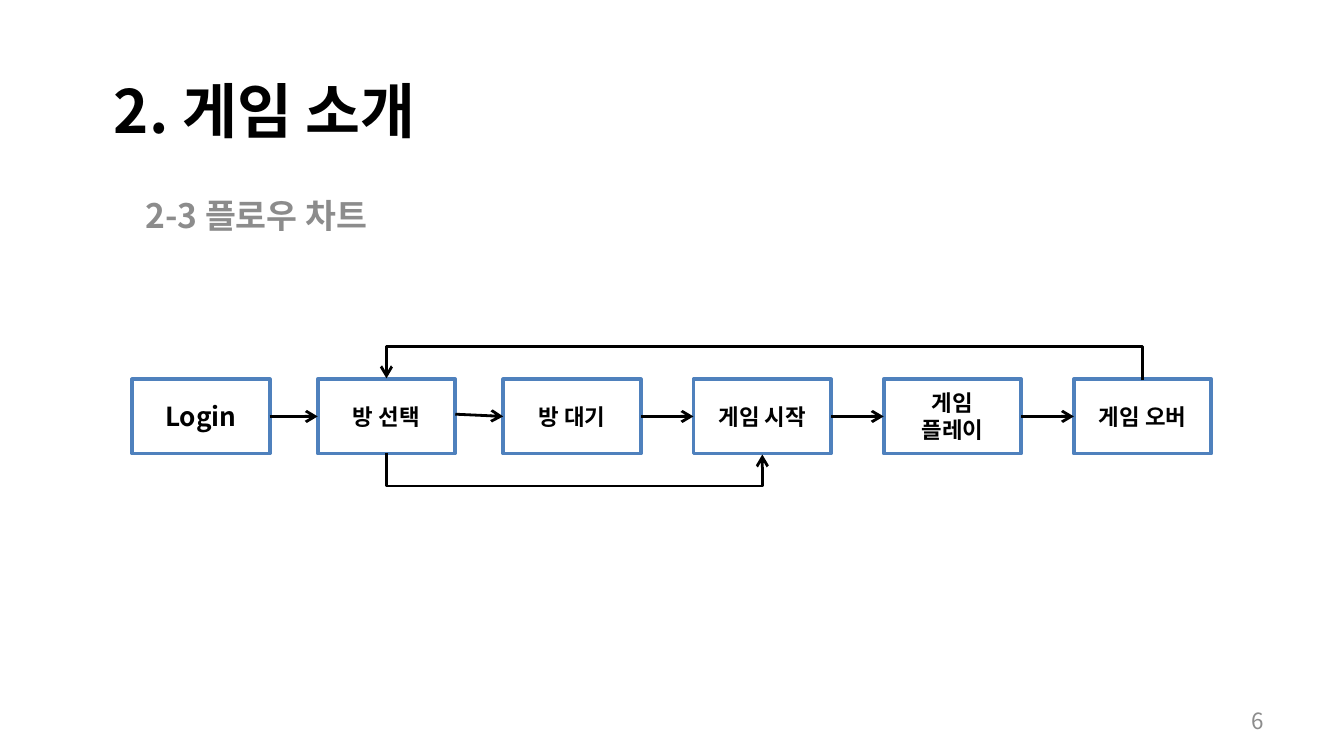
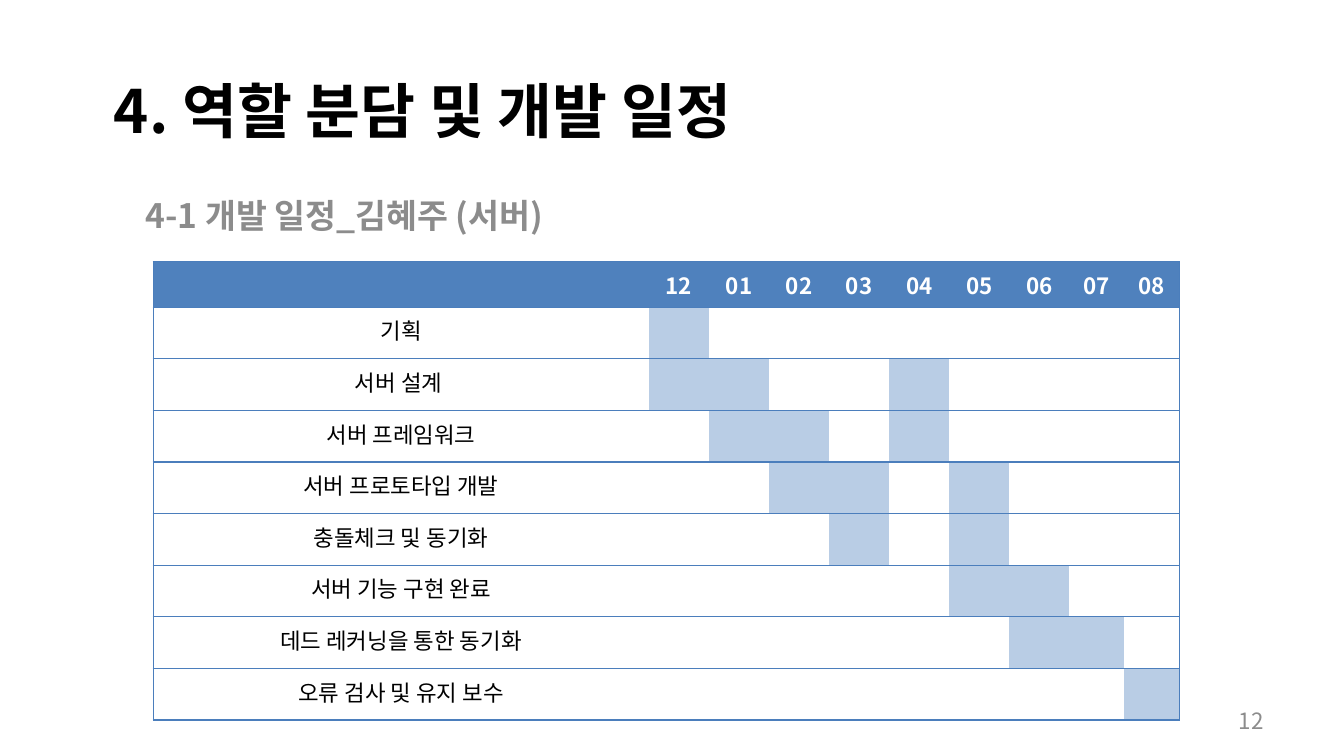
import pptx
import pptx.dml.color
import pptx.enum.shapes
import pptx.enum.text
import pptx.oxml.ns
import pptx.presentation
import pptx.shapes.connector
import pptx.slide
import pptx.table
import pptx.text.text
import pptx.util
from dataclasses import dataclass
from lxml import etree

Pt = pptx.util.Pt
qn = pptx.oxml.ns.qn
ALIGN = pptx.enum.text.PP_ALIGN
ANCHOR = pptx.enum.text.MSO_ANCHOR
CONNECTOR = pptx.enum.shapes.MSO_CONNECTOR

# Shared look
FONT = "Noto Sans CJK KR"
BLACK, WHITE, GREY = "000000", "FFFFFF", "8C8C8C"
BLUE, PALE_BLUE, BORDER_BLUE = "4F81BD", "B9CDE5", "4B7EBC"


@dataclass(frozen=True)
class Box:
    left: float
    top: float
    width: float
    height: float

    def lengths(self) -> list[int]:
        return [Pt(value) for value in (self.left, self.top, self.width, self.height)]


@dataclass(frozen=True)
class TextStyle:
    size: float
    color: str = BLACK
    bold: bool = False
    align: ALIGN = ALIGN.LEFT
    anchor: ANCHOR = ANCHOR.MIDDLE


@dataclass(frozen=True)
class Step:
    text: str
    size: float = 12


@dataclass(frozen=True)
class Task:
    name: str
    months: tuple[str, ...]


TITLE = TextStyle(32, bold=True)
SUBTITLE = TextStyle(18, GREY, True, anchor=ANCHOR.TOP)
PAGE_NUMBER = TextStyle(12, GREY, align=ALIGN.RIGHT)
TABLE_HEAD = TextStyle(12, WHITE, True, ALIGN.CENTER, ANCHOR.TOP)
TABLE_BODY = TextStyle(12, BLACK, False, ALIGN.CENTER, ANCHOR.TOP)


def color(value: str) -> pptx.dml.color.RGBColor:
    return pptx.dml.color.RGBColor.from_string(value)


def apply(target: object, values: dict) -> None:
    for name, value in values.items():
        setattr(target, name, value)


def write(frame: pptx.text.text.TextFrame, text: str, style: TextStyle) -> None:
    """Write one paragraph per line of text."""
    for index, line in enumerate(text.split("\n")):
        paragraph = frame.add_paragraph() if index else frame.paragraphs[0]
        paragraph.alignment = style.align
        run = paragraph.add_run()
        run.text = line
        apply(run.font, {"name": FONT, "size": Pt(style.size), "bold": style.bold})
        run.font.color.rgb = color(style.color)
        east_asian = etree.SubElement(run.font._element, qn("a:ea"))
        east_asian.set("typeface", FONT)


def add_text(slide: pptx.slide.Slide, box: Box, text: str, style: TextStyle) -> None:
    frame = slide.shapes.add_textbox(*box.lengths()).text_frame
    apply(frame, {"word_wrap": True, "vertical_anchor": style.anchor})
    write(frame, text, style)


def add_page(presentation: pptx.presentation.Presentation, title: str,
             subtitle: str, subtitle_width: float, number: int) -> pptx.slide.Slide:
    slide = presentation.slides.add_slide(presentation.slide_layouts[6])
    add_text(slide, Box(54, 15, 612, 87), title, TITLE)
    add_text(slide, Box(70.8, 100.8, subtitle_width, 28), subtitle, SUBTITLE)
    add_text(slide, Box(516, 375.2, 168, 21.6), str(number), PAGE_NUMBER)
    return slide


# Flow chart parts
def add_step(slide: pptx.slide.Slide, box: Box, step: Step) -> None:
    shape = slide.shapes.add_shape(
        pptx.enum.shapes.MSO_SHAPE.RECTANGLE, *box.lengths())
    shape.shadow.inherit = False
    shape.fill.solid()
    shape.fill.fore_color.rgb = color(WHITE)
    shape.line.color.rgb = color(BLUE)
    shape.line.width = Pt(2)
    apply(shape.text_frame, {"word_wrap": True, "vertical_anchor": ANCHOR.MIDDLE})
    write(shape.text_frame, step.text,
          TextStyle(step.size, bold=True, align=ALIGN.CENTER))


def add_arrow(slide: pptx.slide.Slide, kind: CONNECTOR, start: tuple[float, float],
              end: tuple[float, float]) -> pptx.shapes.connector.Connector:
    connector = slide.shapes.add_connector(
        kind, *[Pt(value) for value in (*start, *end)])
    connector.line.color.rgb = color(BLACK)
    connector.line.width = Pt(1.5)
    line = connector.line._get_or_add_ln()
    etree.SubElement(line, qn("a:tailEnd")).set("type", "arrow")
    etree.SubElement(connector._element.spPr, qn("a:effectLst"))
    return connector


def add_loop(slide: pptx.slide.Slide, start_x: float, end_x: float,
             middle_y: float, flip: str) -> None:
    """Bent arrow turned upright: 1 pt deep, bulging out by 18 times its depth."""
    middle_x, half_span = (start_x + end_x) / 2, abs(end_x - start_x) / 2
    connector = add_arrow(slide, CONNECTOR.ELBOW,
                          (middle_x - 0.5, middle_y - half_span),
                          (middle_x + 0.5, middle_y + half_span))
    properties = connector._element.spPr
    transform = properties.find(qn("a:xfrm"))
    transform.set("rot", str(270 * 60000))
    transform.set(flip, "1")
    adjustments = properties.find(qn("a:prstGeom")).find(qn("a:avLst"))
    guide = etree.SubElement(adjustments, qn("a:gd"))
    guide.set("name", "adj1")
    guide.set("fmla", "val 1800000")


# Schedule parts
def set_borders(cell: pptx.table._Cell, left: bool, right: bool,
                top: bool, bottom: bool) -> None:
    properties = cell._tc.get_or_add_tcPr()
    sides = {"L": left, "R": right, "T": top, "B": bottom}
    for side, visible in sides.items():
        line = etree.SubElement(properties, qn(f"a:ln{side}"))
        line.set("w", str(Pt(0.75)))
        if visible:
            fill = etree.SubElement(line, qn("a:solidFill"))
            etree.SubElement(fill, qn("a:srgbClr")).set("val", BORDER_BLUE)
        else:
            etree.SubElement(line, qn("a:noFill"))


def add_schedule(slide: pptx.slide.Slide, box: Box, months: list[str],
                 tasks: list[Task], widths: list[float], head_height: float) -> None:
    row_height = (box.height - head_height) / len(tasks)
    table = slide.shapes.add_table(
        len(tasks) + 1, len(months) + 1, *box.lengths()).table
    table.horz_banding = False
    for column, width in zip(table.columns, widths):
        column.width = Pt(width)
    for index, row in enumerate(table.rows):
        row.height = Pt(row_height if index else head_height)
        task = tasks[index - 1] if index else Task("", ())
        texts = [task.name] + ([""] * len(months) if index else months)
        for position, (cell, text) in enumerate(zip(row.cells, texts)):
            set_borders(cell, position == 0, position == len(months), True, True)
            busy = position > 0 and months[position - 1] in task.months
            cell.fill.solid()
            cell.fill.fore_color.rgb = color(
                BLUE if index == 0 else PALE_BLUE if busy else WHITE)
            if text:
                write(cell.text_frame, text, TABLE_BODY if index else TABLE_HEAD)
            else:
                ending = etree.SubElement(
                    cell.text_frame.paragraphs[0]._p, qn("a:endParaRPr"))
                ending.set("sz", "1200")


presentation = pptx.Presentation()
apply(presentation, {"slide_width": Pt(720), "slide_height": Pt(405)})

# Slide 1: flow chart
slide = add_page(presentation, "2. 게임 소개", "2-3 플로우 차트", 187.2, 6)
steps = [Step("Login", 14), Step("방 선택"), Step("방 대기"),
         Step("게임 시작"), Step("게임\n플레이"), Step("게임 오버")]
STEP_WIDTH, STEP_TOP, STEP_HEIGHT = 73.7, 203.2, 39.8
ROW_MIDDLE = STEP_TOP + STEP_HEIGHT / 2
# The first three steps stand slightly closer together
lefts = [70.8 + 99.4 * min(i, 2) + 101.9 * max(i - 2, 0) for i in range(len(steps))]
for left, step in zip(lefts, steps):
    add_step(slide, Box(left, STEP_TOP, STEP_WIDTH, STEP_HEIGHT), step)
for index, (left, following) in enumerate(zip(lefts, lefts[1:])):
    rise = 1.2 if index == 1 else 0
    add_arrow(slide, CONNECTOR.STRAIGHT, (left + STEP_WIDTH, ROW_MIDDLE - rise),
              (following, ROW_MIDDLE))
centers = [left + STEP_WIDTH / 2 for left in lefts]
add_loop(slide, centers[5], centers[1], STEP_TOP, "flipV")
add_loop(slide, centers[1], centers[3], STEP_TOP + STEP_HEIGHT, "flipH")

# Slide 2: schedule
slide = add_page(presentation, "4. 역할 분담 및 개발 일정",
                 "4-1 개발 일정_김혜주 (서버)", 294.5, 12)
months = ["12"] + [f"{month:02}" for month in range(1, 9)]
tasks = [
    Task("기획", ("12",)),
    Task("서버 설계 ", ("12", "01", "04")),
    Task("서버 프레임워크", ("01", "02", "04")),
    Task("서버 프로토타입 개발", ("02", "03", "05")),
    Task("충돌체크 및 동기화", ("03", "05")),
    Task("서버 기능 구현 완료", ("05", "06")),
    Task("데드 레커닝을 통한 동기화", ("06", "07")),
    Task("오류 검사 및 유지 보수", ("08",)),
]
widths = [265.6] + [32.2] * 7 + [29.4] * 2
add_schedule(slide, Box(82.1, 140.3, sum(widths), 245.5), months, tasks, widths, 24.3)

presentation.save("out.pptx")
